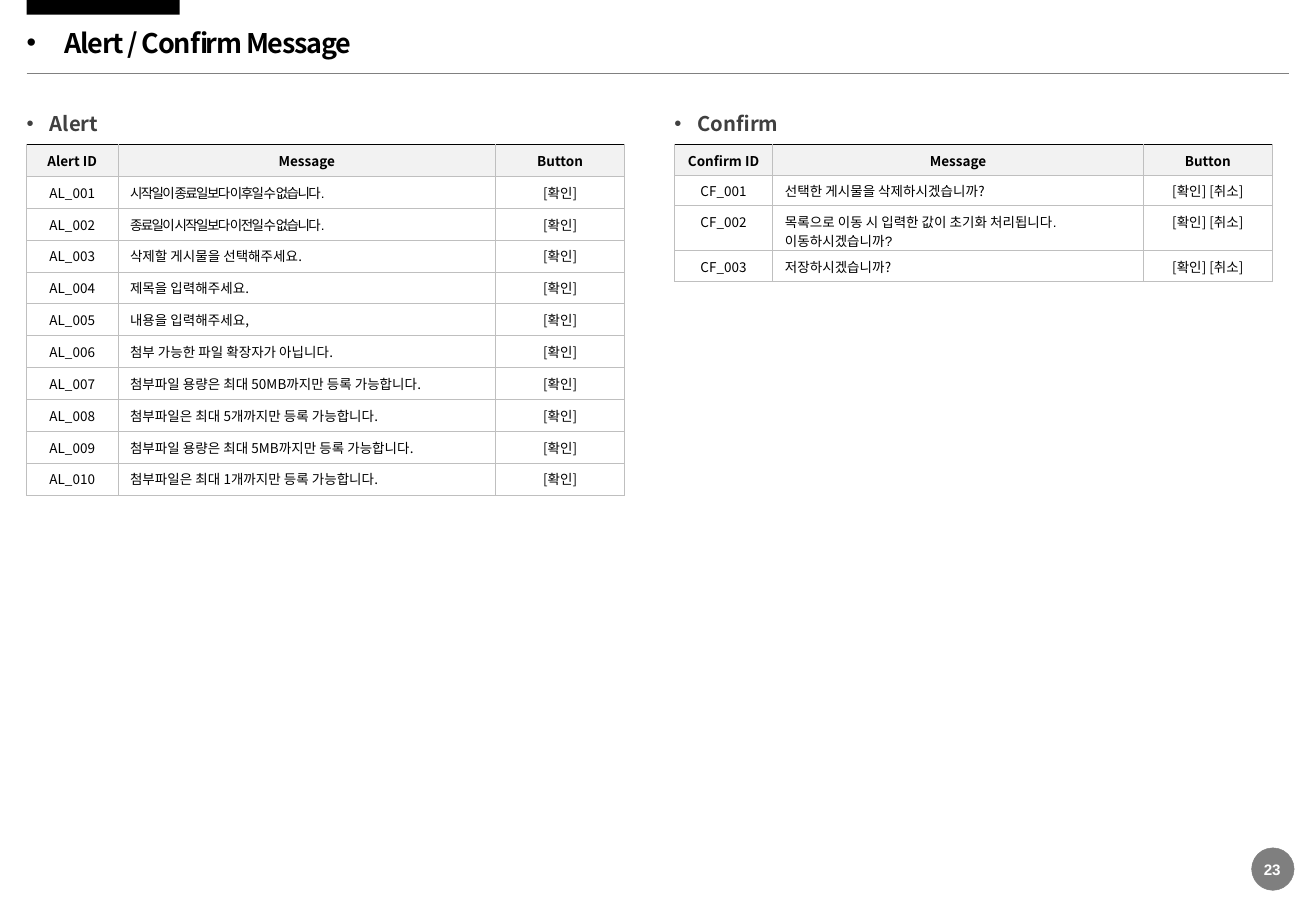
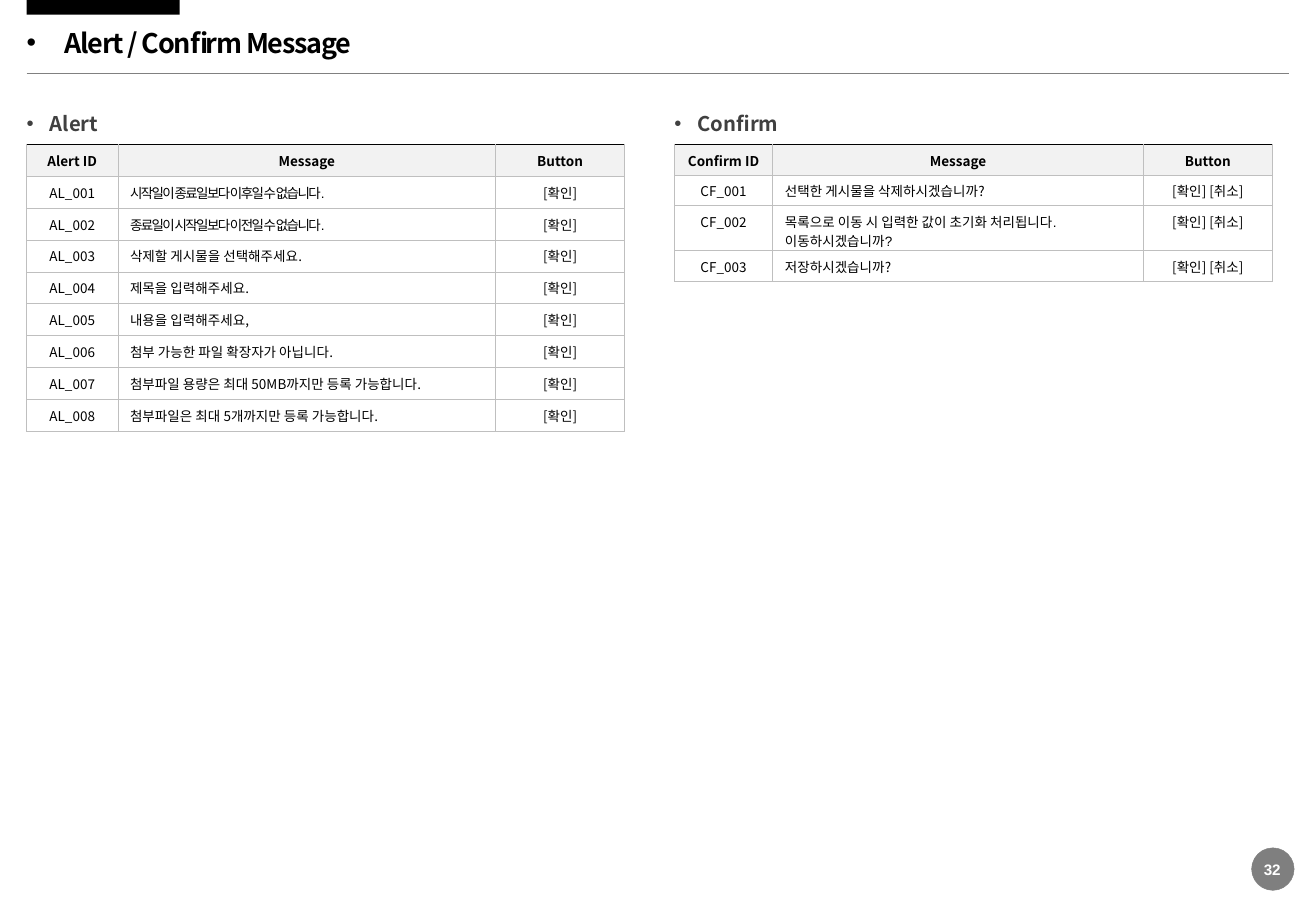
import dataclasses

import lxml.etree
import pptx
import pptx.dml.color
import pptx.enum.shapes
import pptx.enum.text
import pptx.oxml.ns
import pptx.util

Inches = pptx.util.Inches
Pt = pptx.util.Pt
Align = pptx.enum.text.PP_ALIGN
Anchor = pptx.enum.text.MSO_ANCHOR
Shape = pptx.enum.shapes.MSO_SHAPE
qn = pptx.oxml.ns.qn

SANS = "Noto Sans CJK KR"
ARIAL = "Arial"
BLACK, WHITE, GRAY = "000000", "FFFFFF", "808080"
DARK, PALE, RULE = "404040", "F2F2F2", "BFBFBF"
EDGE = 0.22
TABLE_TOP = 1.19


@dataclasses.dataclass
class Style:
    size: float
    color: str = BLACK
    bold: bool = False
    font: str = SANS
    space: float = 0


@dataclasses.dataclass
class Note:
    text: str
    font: str = SANS
    space: float = 0


@dataclasses.dataclass
class Group:
    name: str
    code: str
    left: float
    widths: tuple[float, ...]
    pitch: float
    button: str
    notes: list[Note]


@dataclasses.dataclass
class Page:
    number: int
    groups: list[Group]


TITLE = Style(16, bold=True, space=-0.7)
HEAD = Style(12, DARK, True)
LABEL = Style(8, bold=True)
NUMBER = Style(9, WHITE, True, ARIAL)

ALERTS = [
    Note("시작일이 종료일보다 이후일 수 없습니다.", ARIAL, -1),
    Note("종료일이 시작일보다 이전일 수 없습니다.", ARIAL, -1),
    Note("삭제할 게시물을 선택해주세요."),
    Note("제목을 입력해주세요."),
    Note("내용을 입력해주세요,"),
    Note("첨부 가능한 파일 확장자가 아닙니다."),
    Note("첨부파일 용량은 최대 50MB까지만 등록 가능합니다."),
    Note("첨부파일은 최대 5개까지만 등록 가능합니다."),
    Note("첨부파일 용량은 최대 5MB까지만 등록 가능합니다."),
    Note("첨부파일은 최대 1개까지만 등록 가능합니다."),
]
ASKS = [
    Note("선택한 게시물을 삭제하시겠습니까?"),
    Note("목록으로 이동 시 입력한 값이 초기화 처리됩니다.\v이동하시겠습니까?", ARIAL),
    Note("저장하시겠습니까?"),
]


def paint(target, color: str) -> None:
    """Give a fill or a line's fill one solid colour."""
    target.solid()
    target.fore_color.rgb = pptx.dml.color.RGBColor.from_string(color)


def add_node(parent, tag: str, **values: str):
    return lxml.etree.SubElement(parent, qn(tag), values)


def write(frame, text: str, style: Style, align=Align.LEFT) -> None:
    part = frame.paragraphs[0]
    part.text = text
    part.alignment = align
    for run in part.runs:
        font = run.font
        font.size, font.bold, font.name = Pt(style.size), style.bold, style.font
        paint(font.fill, style.color)
        props = run._r.get_or_add_rPr()
        add_node(props, "a:ea", typeface=SANS)
        if style.space:
            props.set("spc", str(round(style.space * 100)))


def fit(frame, anchor) -> None:
    """Remove the insets and fix the size of a text frame."""
    frame.margin_left = frame.margin_right = 0
    frame.margin_top = frame.margin_bottom = 0
    frame.vertical_anchor = anchor
    frame.auto_size = pptx.enum.text.MSO_AUTO_SIZE.NONE
    frame.word_wrap = True


def place(shape, left: float, top: float, width: float, height: float) -> None:
    shape.left, shape.top = Inches(left), Inches(top)
    shape.width, shape.height = Inches(width), Inches(height)


def add_point(shape, text: str, style: Style, indent: float, anchor,
              before: float = 0, lines: float = 1) -> None:
    """Write a bulleted line into a placeholder."""
    fit(shape.text_frame, anchor)
    write(shape.text_frame, text, style)
    part = shape.text_frame.paragraphs[0]
    part.space_before, part.line_spacing = Pt(before), lines
    props = part._p.get_or_add_pPr()
    props.set("marL", str(Inches(indent)))
    props.set("indent", str(-Inches(indent)))
    add_node(props, "a:buFont", typeface=ARIAL)
    add_node(props, "a:buChar", char="•")


def add_frame(slide, number: int) -> None:
    """Draw the band, rule, title and page number."""
    shapes = slide.shapes
    band = shapes.add_shape(Shape.RECTANGLE, Inches(EDGE), 0, Inches(1.26), Inches(0.12))
    band.shadow.inherit = False
    paint(band.fill, BLACK)
    band.line.fill.background()

    rule = shapes.add_connector(pptx.enum.shapes.MSO_CONNECTOR.STRAIGHT,
                                Inches(EDGE), Inches(0.6), Inches(10.61), Inches(0.6))
    add_node(rule._element.spPr, "a:effectLst")
    disc = shapes.add_shape(Shape.OVAL, Inches(10.3), Inches(6.98),
                            Inches(0.35), Inches(0.35))
    disc.shadow.inherit = False
    paint(disc.fill, BLACK)
    shade = disc._element.spPr.find(qn("a:solidFill"))[0]
    add_node(shade, "a:alpha", val="50000")
    for item in (rule, disc):
        paint(item.line.fill, GRAY)
        item.line.width = Pt(0.25)

    place(shapes.title, EDGE, 0.21, 6.5, 0.31)
    add_point(shapes.title, "Alert / Confirm Message", TITLE, 0.31,
              Anchor.MIDDLE, 8.1, 0.9)
    label = shapes.add_textbox(Inches(10.39), Inches(7.08), Inches(0.16), Inches(0.15))
    fit(label.text_frame, Anchor.MIDDLE)
    label.text_frame.word_wrap = False
    write(label.text_frame, str(number), NUMBER, Align.CENTER)


def set_cell(cell, text: str, style: Style, align, header: bool) -> None:
    cell.margin_top, cell.margin_bottom = Inches(0.05), 0
    cell.vertical_anchor = Anchor.TOP
    write(cell.text_frame, text, style, align)
    props = cell._tc.get_or_add_tcPr()
    for side in "LRTB":
        strong = header and side == "T"
        line = add_node(props, f"a:ln{side}", w=str(Pt(1 if strong else 0.5)))
        fill = add_node(line, "a:solidFill")
        add_node(fill, "a:srgbClr", val=BLACK if strong else RULE)
    if header:
        paint(cell.fill, PALE)
    else:
        cell.fill.background()


def add_group(slide, head, group: Group) -> None:
    """Draw a heading and the table below it."""
    place(head, group.left, 0.92, 0.91, 0.2)
    add_point(head, group.name, HEAD, 0.19, Anchor.TOP)
    count = len(group.notes) + 1
    table = slide.shapes.add_table(
        count, len(group.widths), Inches(group.left), Inches(TABLE_TOP),
        Inches(sum(group.widths)), Pt(group.pitch * count)).table
    table.first_row = table.horz_banding = False
    for column, width in zip(table.columns, group.widths):
        column.width = Inches(width)
    for row in table.rows:
        row.height = Pt(group.pitch)

    for col, text in enumerate((f"{group.name} ID", "Message", "Button")):
        set_cell(table.cell(0, col), text, LABEL, Align.CENTER, True)
    for row, note in enumerate(group.notes, 1):
        plain = Style(8)
        body = Style(8, font=note.font, space=note.space)
        cells = ((f"{group.code}_{row:03}", plain, Align.CENTER),
                 (note.text, body, Align.LEFT),
                 (group.button, plain, Align.CENTER))
        for col, (text, style, align) in enumerate(cells):
            set_cell(table.cell(row, col), text, style, align, False)


def alert(count: int) -> Group:
    return Group("Alert", "AL", EDGE, (0.75, 3.11, 1.06), 18.9, "[확인]", ALERTS[:count])


CONFIRM = Group("Confirm", "CF", 5.55, (0.81, 3.05, 1.06), 18, "[확인] [취소]", ASKS)
PAGES = [Page(23, [alert(10), CONFIRM]), Page(32, [alert(8), CONFIRM])]


def main() -> None:
    deck = pptx.Presentation()
    deck.slide_width, deck.slide_height = Inches(10.83), Inches(7.5)
    layout = deck.slide_layouts.get_by_name("Comparison")
    for page in PAGES:
        slide = deck.slides.add_slide(layout)
        holders = {item.placeholder_format.idx: item for item in slide.placeholders}
        # Tables take the room of the two content placeholders
        for spare in (2, 4):
            node = holders[spare]._element
            node.getparent().remove(node)
        add_frame(slide, page.number)
        for head, group in zip((holders[1], holders[3]), page.groups):
            add_group(slide, head, group)
    deck.save("out.pptx")


if __name__ == "__main__":
    main()
